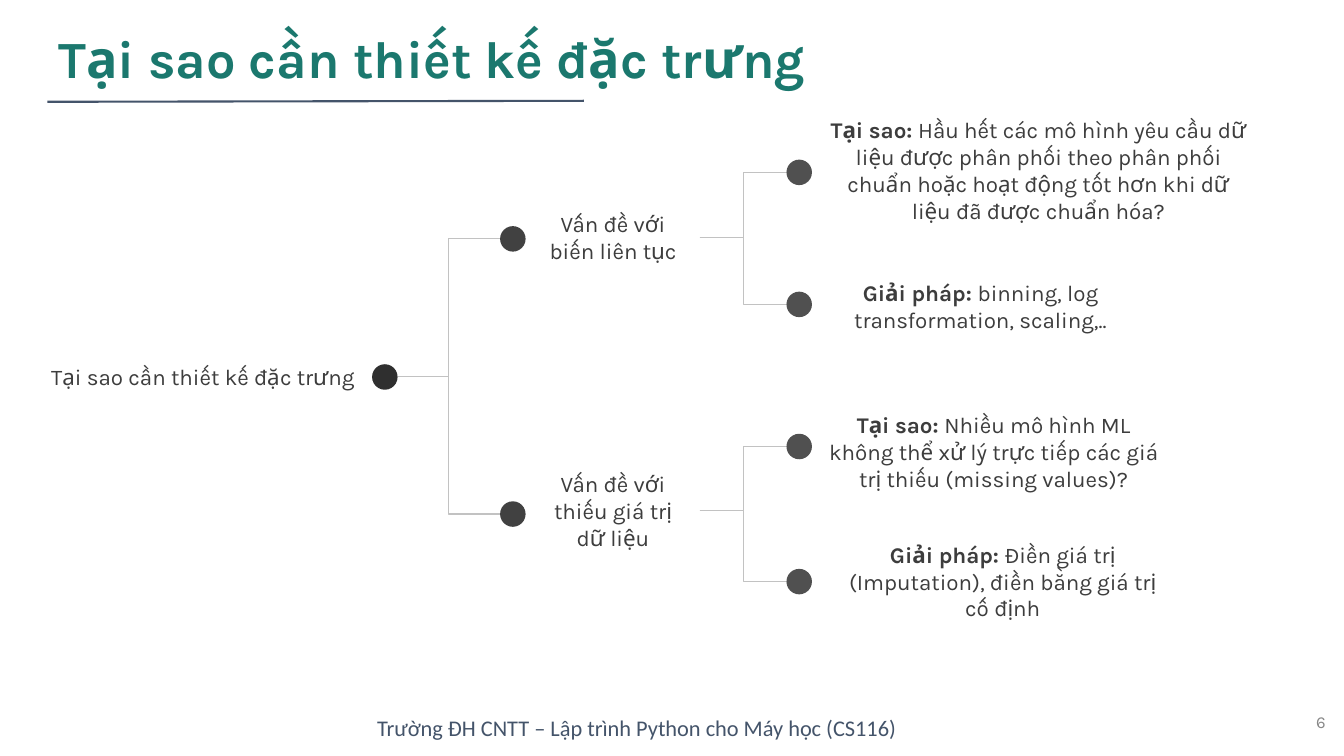
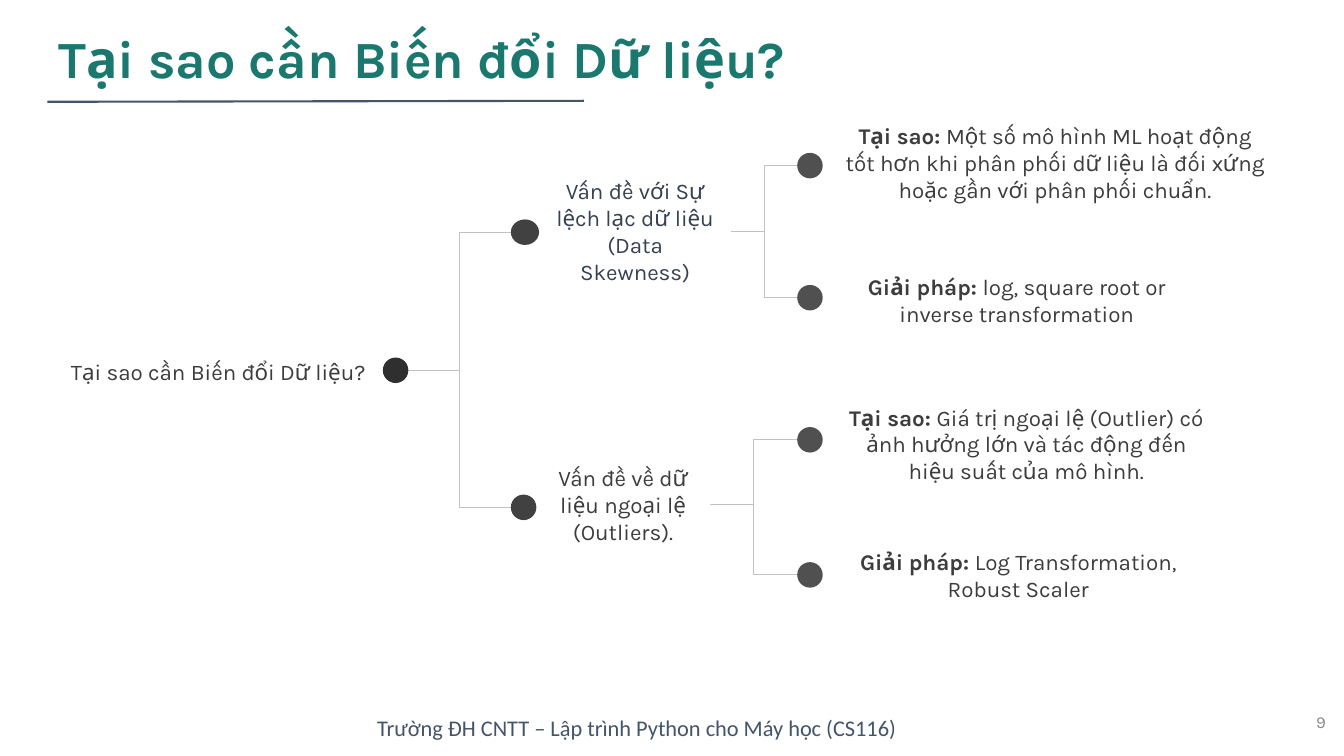
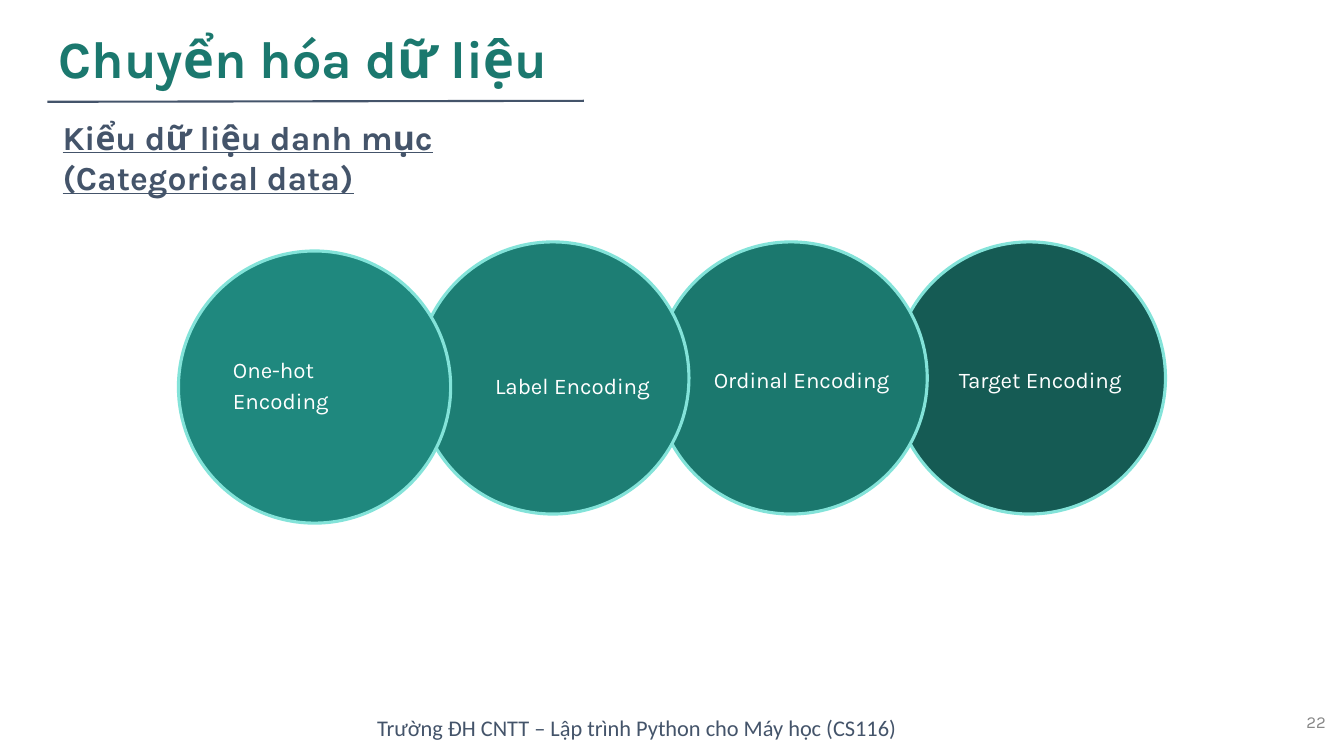
import pptx
import pptx.dml.color
import pptx.enum.shapes
import pptx.enum.text
import pptx.oxml.ns
import pptx.util
from lxml import etree

COLORS = {
    "title": "1B786E", "slate": "44546A", "number": "888888", "body": "3D3D3D",
    "ink": "374151", "fork": "C2C2C2", "white": "FFFFFF", "ring": "83E3D9",
    "root": "2F2F2F", "branch": "414141", "leaf": "505050",
}
CIRCLE_COLORS = ["1F887E", "1D7E74", "1B786E", "155B54"]
FONT = "Karla"
ALIGN = pptx.enum.text.PP_ALIGN
ANCHOR = pptx.enum.text.MSO_ANCHOR
SHAPE = pptx.enum.shapes.MSO_SHAPE
CONNECTOR = pptx.enum.shapes.MSO_CONNECTOR

presentation = pptx.Presentation()
presentation.slide_width = pptx.util.Inches(13.33)
presentation.slide_height = pptx.util.Inches(7.5)
title_only = presentation.slide_layouts[5]

# Square grid: 40 columns by 22.5 rows
CELL = presentation.slide_height / 22.5


def write(shape, paragraphs, size, color, font=FONT, align=ALIGN.LEFT,
          anchor=ANCHOR.TOP, spacing=None, underline=None):
    """Fill a shape with paragraphs, each a list of (text, bold) runs."""
    frame = shape.text_frame
    frame.word_wrap = True
    frame.auto_size = pptx.enum.text.MSO_AUTO_SIZE.NONE
    frame.vertical_anchor = anchor
    frame.margin_left = frame.margin_right = pptx.util.Inches(0.13)
    frame.margin_top = frame.margin_bottom = pptx.util.Inches(0.13)
    for index, runs in enumerate(paragraphs):
        paragraph = frame.paragraphs[0] if index == 0 else frame.add_paragraph()
        paragraph.alignment = align
        paragraph.line_spacing = spacing
        for text, bold in runs:
            run = paragraph.add_run()
            run.text = text
            run.font.name = font
            run.font.size = pptx.util.Pt(size)
            run.font.bold = bold
            run.font.underline = underline
            run.font.color.rgb = pptx.dml.color.RGBColor.from_string(color)


def connect(slide, kind, ends, color, width):
    """Draw a connector between two grid points, without a shadow."""
    connector = slide.shapes.add_connector(kind, *[round(end * CELL) for end in ends])
    connector.line.color.rgb = pptx.dml.color.RGBColor.from_string(color)
    connector.line.width = pptx.util.Pt(width)
    properties = connector.element.find(pptx.oxml.ns.qn("p:spPr"))
    etree.SubElement(properties, pptx.oxml.ns.qn("a:effectLst"))


# Shared frame: footer, rule, title and number
slides = []
for title, number in [("Tại sao cần thiết kế đặc trưng", "6"),
                      ("Tại sao cần Biến đổi Dữ liệu?", "9"),
                      ("Chuyển hóa dữ liệu", "22")]:
    slide = presentation.slides.add_slide(title_only)
    slides.append(slide)
    heading = slide.shapes.title
    heading.left, heading.top, heading.width, heading.height = [
        round(value * CELL) for value in (1.35, 0.6, 37.26, 2.52)]
    write(heading, [[(title, True)]], 37.3, COLORS["title"], spacing=0.9)
    footer = slide.shapes.add_textbox(
        *[round(value * CELL) for value in (10.68, 20.88, 18.66, 1.62)])
    write(footer, [[(" Trường ĐH CNTT – Lập trình Python cho Máy học (CS116)", False)]],
          16, COLORS["slate"], font="Calibri")
    connect(slide, CONNECTOR.STRAIGHT, (1.41, 3.03, 17.37, 3), COLORS["slate"], 1.5)
    page = slide.shapes.add_textbox(
        *[round(value * CELL) for value in (37.44, 20.79, 2.4, 1.71)])
    write(page, [[(number, False)]], 12, COLORS["number"], align=ALIGN.RIGHT)

# Trees: a root, two branches, two leaves on each branch
DOT = 0.76
LEVELS = ["root", "branch", "branch", "leaf", "leaf", "leaf", "leaf"]
PARENTS = [None, 0, 0, 1, 1, 2, 2]
DOT_LEFT = {"root": 11.07, "branch": 14.88, "leaf": 23.4}
DOT_MIDDLE = [11.22, 7.11, 15.3, 5.13, 9.06, 13.29, 17.31]
WHY, FIX = ("Tại sao: ", True), ("Giải pháp: ", True)

# Each node: label left, top, width, height, then its runs
feature_tree = [
    (0.24, 10.5, 10.77, 1.41, [("Tại sao cần thiết kế đặc trưng", False)]),
    (15.66, 6.06, 5.16, 2.01, [("Vấn đề với biến liên tục", False)]),
    (15.66, 14.28, 5.16, 1.83, [("Vấn đề với thiếu giá trị dữ liệu", False)]),
    (24.15, 3.54, 13.5, 3.03, [WHY, (
        "Hầu hết các mô hình yêu cầu dữ liệu được phân phối theo phân phối chuẩn "
        "hoặc hoạt động tốt hơn khi dữ liệu đã được chuẩn hóa?", False)]),
    (24.15, 7.86, 10.05, 2.52, [FIX, ("binning, log transformation, scaling,..", False)]),
    (24.15, 12.18, 10.83, 2.52, [WHY, (
        "Nhiều mô hình ML không thể xử lý trực tiếp các giá trị thiếu "
        "(missing values)?", False)]),
    (24.3, 15.78, 11.07, 3.03, [FIX, (
        "Điền giá trị (Imputation), điền bằng giá trị cố định", False)]),
]
transform_tree = [
    (0.84, 10.05, 10.53, 2.01, [("Tại sao cần Biến đổi Dữ liệu?", False)]),
    (16.05, 5.88, 5.7, 2.01, [("Vấn đề với Sự lệch lạc dữ liệu (Data Skewness)", False)]),
    (15.96, 14.1, 5.16, 1.83, [("Vấn đề về dữ liệu ngoại lệ (Outliers).", False)]),
    (24.48, 3.09, 13.83, 3.48, [WHY, (
        "Một số mô hình ML hoạt động tốt hơn khi phân phối dữ liệu là đối xứng "
        "hoặc gần với phân phối chuẩn.", False)]),
    (24.48, 7.68, 11.55, 2.52, [FIX, ("log, square root or inverse transformation", False)]),
    (24.48, 11.7, 12.12, 3.03, [WHY, (
        "Giá trị ngoại lệ (Outlier) có ảnh hưởng lớn và tác động đến hiệu suất "
        "của mô hình.", False)]),
    (24.6, 15.6, 11.4, 3.03, [FIX, ("Log Transformation, Robust Scaler", False)]),
]

# The second tree sits a little right and up, and its first branch stands out
for slide, tree, shift_x, shift_y, first_dot, first_color in [
        (slides[0], feature_tree, 0, 0, DOT, "body"),
        (slides[1], transform_tree, 0.32, -0.2, 0.84, "ink")]:
    dots = [(DOT_LEFT[level] + shift_x, middle + shift_y)
            for level, middle in zip(LEVELS, DOT_MIDDLE)]

    # Forks leave the root dot or the right edge of a branch label
    for child, parent in enumerate(PARENTS):
        if parent is None:
            continue
        if parent == 0:
            start = (dots[0][0] + DOT, dots[0][1])
        else:
            left, top, width, height, runs = tree[parent]
            start = (left + width, top + height / 2)
        connect(slide, CONNECTOR.ELBOW, start + dots[child], COLORS["fork"], 0.75)

    # Labels and dots
    for index, (left, top, width, height, runs) in enumerate(tree):
        label = slide.shapes.add_shape(
            SHAPE.ROUNDED_RECTANGLE,
            *[round(value * CELL) for value in (left, top, width, height)])
        label.shadow.inherit = False
        label.fill.background()
        label.line.fill.background()
        write(label, [runs], 16, COLORS[first_color if index == 1 else "body"],
              align=ALIGN.RIGHT if index == 0 else ALIGN.CENTER, anchor=ANCHOR.MIDDLE)
        dot_left, dot_middle = dots[index]
        dot_width = first_dot if index == 1 else DOT
        dot = slide.shapes.add_shape(
            SHAPE.OVAL, *[round(value * CELL) for value in
                          (dot_left, dot_middle - DOT / 2, dot_width, DOT)])
        dot.shadow.inherit = False
        dot.fill.solid()
        dot.fill.fore_color.rgb = pptx.dml.color.RGBColor.from_string(COLORS[LEVELS[index]])
        dot.line.fill.background()

# Encodings: subtitle and overlapping circles, drawn from right to left
slide = slides[2]
subtitle = slide.shapes.add_textbox(
    *[round(value * CELL) for value in (1.47, 3.09, 15.06, 3.24)])
write(subtitle, [[("Kiểu dữ liệu danh mục", True)], [("(Categorical data)", True)]],
      24, COLORS["slate"], underline=True)

DIAMETER, STEP = 8.1, 7.09
encodings = [
    ("One-hot Encoding", 7.47, (6.54, 10.26, 6.15, 2.28)),
    ("Label Encoding", 7.2, (14.34, 10.29, 5.64, 2.28)),
    ("Ordinal Encoding", 7.2, (20.85, 10.11, 6.18, 2.28)),
    ("Target Encoding", 7.2, (28.14, 10.36, 5.64, 1.74)),
]
for index, (name, top, caption_box) in reversed(list(enumerate(encodings))):
    circle = slide.shapes.add_shape(
        SHAPE.OVAL, *[round(value * CELL) for value in
                      (5.31 + index * STEP, top, DIAMETER, DIAMETER)])
    circle.shadow.inherit = False
    circle.fill.solid()
    circle.fill.fore_color.rgb = pptx.dml.color.RGBColor.from_string(CIRCLE_COLORS[index])
    circle.line.color.rgb = pptx.dml.color.RGBColor.from_string(COLORS["ring"])
    circle.line.width = pptx.util.Pt(2.25)
    caption = slide.shapes.add_textbox(*[round(value * CELL) for value in caption_box])
    write(caption, [[(name, False)]], 16, COLORS["white"],
          anchor=ANCHOR.MIDDLE, spacing=1.15)

presentation.save("out.pptx")
